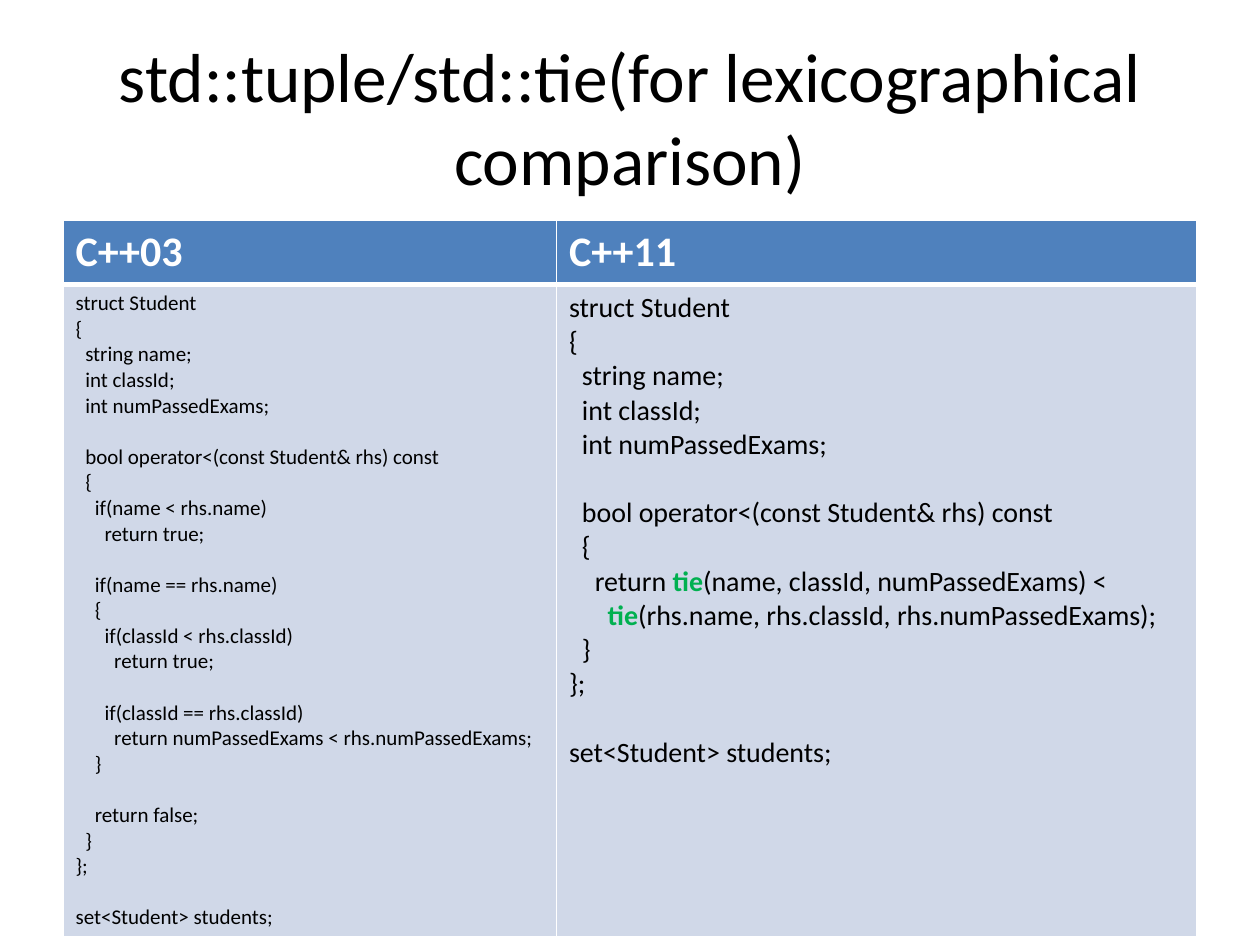
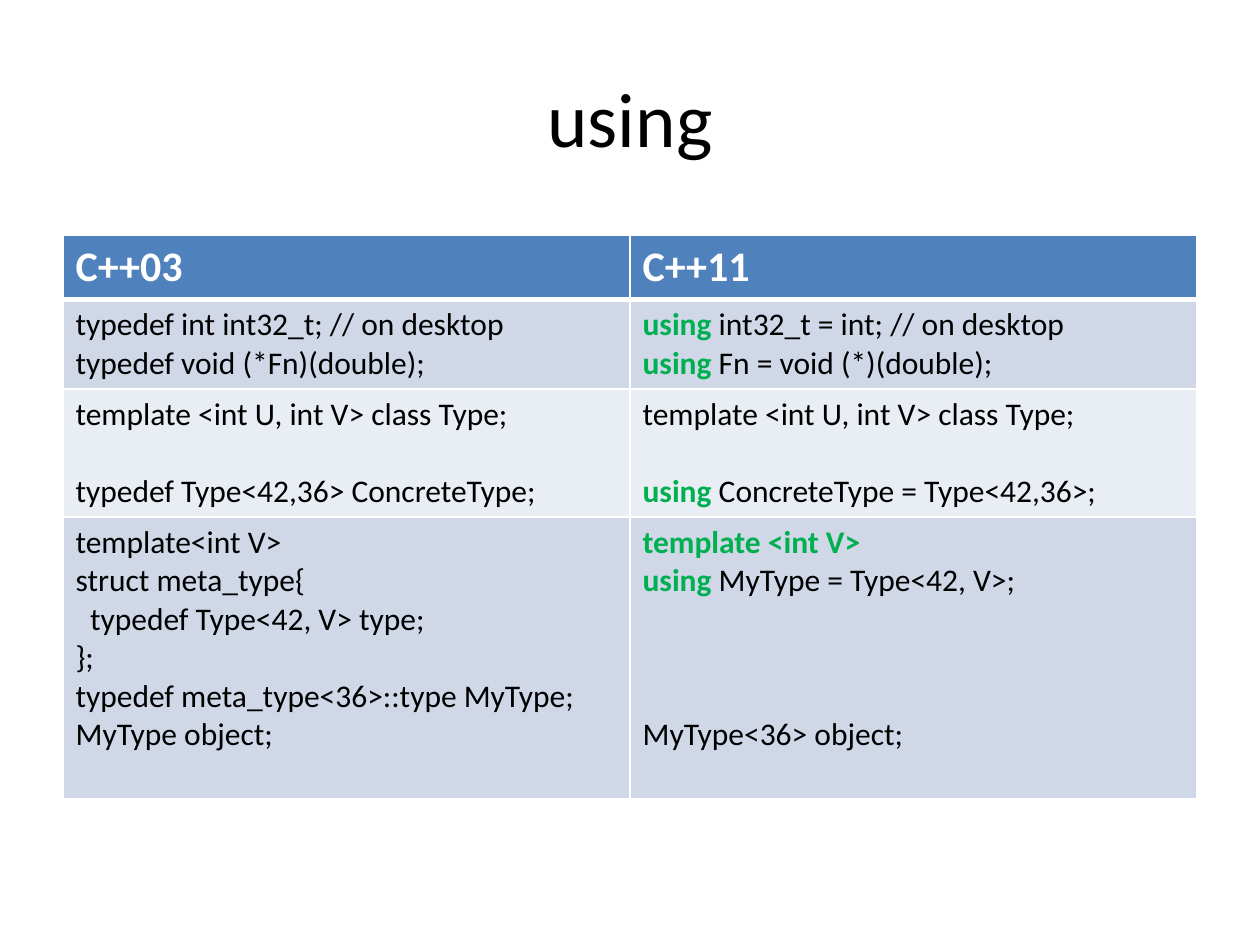
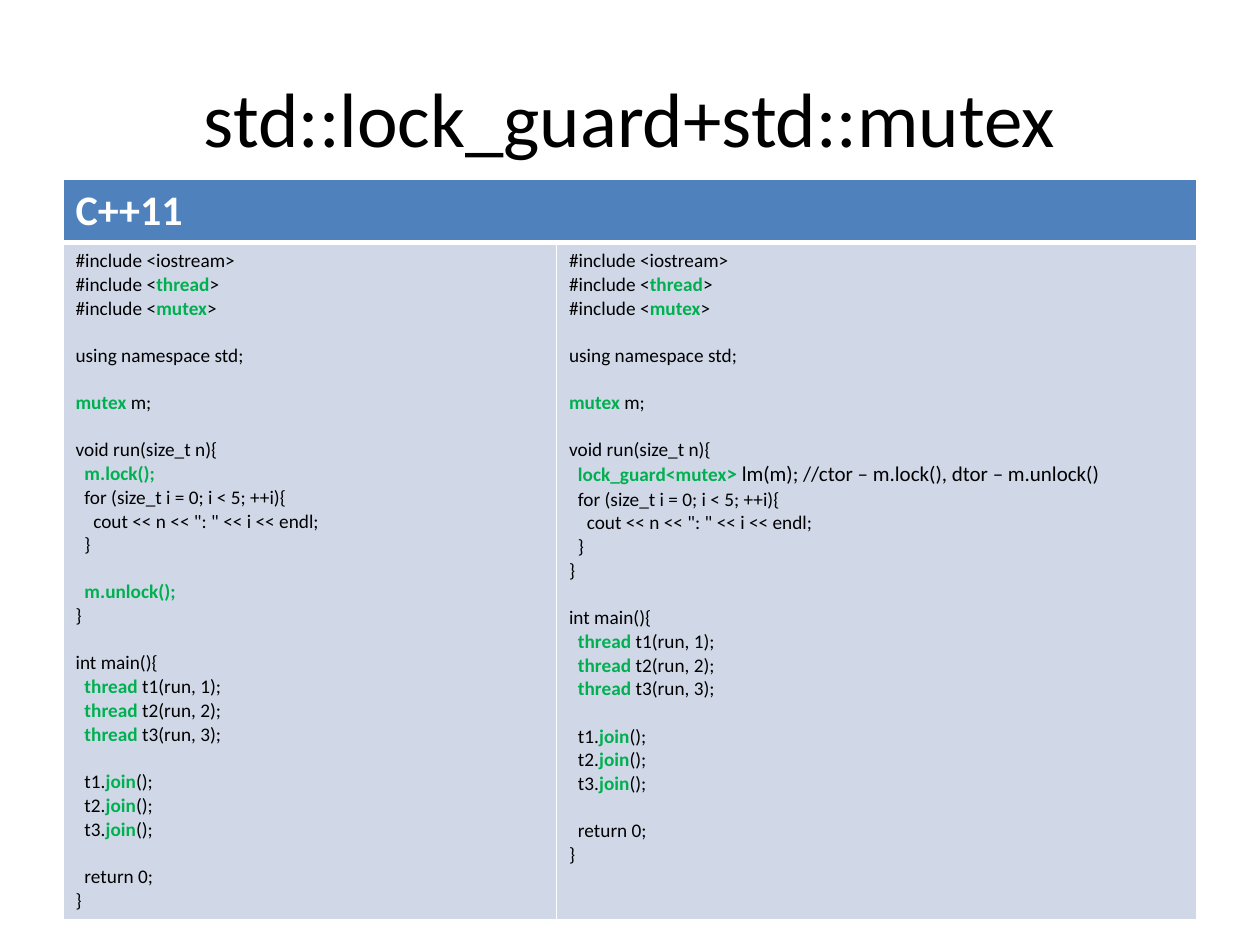
"""Builds three slides comparing C++03 and C++11 code in tables."""
from dataclasses import dataclass

from lxml import etree
from pptx import Presentation
from pptx.dml.color import RGBColor
from pptx.enum import text
from pptx.oxml import ns
from pptx.util import Pt


@dataclass(frozen=True)
class Theme:
    """Colours, type sizes and measures shared by the slides."""
    font: str = "Calibri"
    ink: str = "000000"
    white: str = "FFFFFF"
    highlight: str = "00B050"
    header: str = "4F81BD"
    bands: tuple = ("D0D8E8", "E9EDF4")
    header_size: float = 24
    comment_size: float = 12
    line_ratio: float = 1.22
    space_ratio: float = 0.23
    header_height: float = 36.5
    rule: float = 1
    header_rule: float = 3
    title_box: tuple = (36, 21.6, 648, 90)
    left: float = 36


THEME = Theme()

STUDENT_FIELDS = """struct Student
{
  string name;
  int classId;
  int numPassedExams;

  bool operator<(const Student& rhs) const
  {
"""

STUDENT_END = """  }
};

set<Student> students;"""

COMPARE_BY_HAND = """    if(name < rhs.name)
      return true;

    if(name == rhs.name)
    {
      if(classId < rhs.classId)
        return true;

      if(classId == rhs.classId)
        return numPassedExams < rhs.numPassedExams;
    }

    return false;
"""

COMPARE_BY_TIE = """    return `tie`(name, classId, numPassedExams) <
      `tie`(rhs.name, rhs.classId, rhs.numPassedExams);
"""

THREAD_START = """#include <iostream>
#include <`thread`>
#include <`mutex`>

using namespace std;

`mutex` m;

void run(size_t n){
"""

THREAD_LOOP = """  for (size_t i = 0; i < 5; ++i){
    cout << n << ": " << i << endl;
  }
"""

THREAD_END = """}

int main(){
  `thread` t1(run, 1);
  `thread` t2(run, 2);
  `thread` t3(run, 3);

  t1.`join`();
  t2.`join`();
  t3.`join`();

  return 0;
}"""

MANUAL_LOCK = "  `m.lock();`\n" + THREAD_LOOP + "\n  `m.unlock();`\n"
GUARD_LOCK = ("  `lock_guard<mutex^>`^ lm(m); //ctor – m.lock(), dtor – m.unlock()\n"
              + THREAD_LOOP)

USING_ROWS = [
    ("""typedef int int32_t; // on desktop
typedef void (*Fn)(double);""",
     """`using` int32_t = int; // on desktop
`using` Fn = void (*)(double);"""),
    ("""template <int U, int V> class Type;

typedef Type<42,36> ConcreteType;""",
     """template <int U, int V> class Type;

`using` ConcreteType = Type<42,36>;"""),
    ("""template<int V>
struct meta_type{
  typedef Type<42, V> type;
};
typedef meta_type<36>::type MyType;
MyType object;""",
     """`template <int V>`
`using` MyType = Type<42, V>;



MyType<36> object;"""),
]

SLIDES = [
    dict(title="std::tuple/std::tie(for lexicographical comparison)", title_size=39.6,
         top=126, columns=(282, 366), heights=(372,), sizes=(12, 16),
         headings=("C++03", "C++11"),
         rows=[(STUDENT_FIELDS + COMPARE_BY_HAND + STUDENT_END,
                STUDENT_FIELDS + COMPARE_BY_TIE + STUDENT_END)]),
    dict(title="using", title_size=44,
         top=134.6, columns=(324, 324), heights=(51, 73, 161), sizes=(18, 18),
         headings=("C++03", "C++11"), rows=USING_ROWS),
    dict(title="std::lock_guard+std::mutex", title_size=44,
         top=102.2, columns=(282, 366), heights=(387,), sizes=(11, 11),
         headings=("C++11",),
         rows=[(THREAD_START + MANUAL_LOCK + THREAD_END,
                THREAD_START + GUARD_LOCK + THREAD_END)]),
]


def add_run(paragraph, words, size, color, bold=False):
    """Adds one formatted run."""
    run = paragraph.add_run()
    run.text = words
    run.font.name, run.font.size, run.font.bold = THEME.font, Pt(size), bold
    run.font.color.rgb = RGBColor.from_string(color)


def write_code(frame, code, size):
    """Writes code lines: `…` is highlighted, ^ starts larger type, spacing shows gaps."""
    gap, paragraph = 0, None
    for line in code.split("\n"):
        statement = line.lstrip()
        if not statement:
            gap += 1
            continue
        paragraph = frame.add_paragraph() if paragraph else frame.paragraphs[0]
        paragraph.space_before = Pt(round(gap * size * THEME.line_ratio, 2))
        gap = 0
        indent = (len(line) - len(statement)) * size * THEME.space_ratio
        paragraph._p.get_or_add_pPr().set("marL", str(int(Pt(indent))))
        for part_no, part in enumerate(statement.split("`")):
            marked = part_no % 2 == 1
            for piece_no, piece in enumerate(part.split("^")):
                if piece:
                    add_run(paragraph, piece, THEME.comment_size if piece_no else size,
                            THEME.highlight if marked else THEME.ink, marked)


def style_cell(cell, fill, top, bottom):
    """Fills a cell and draws its four white borders."""
    cell.fill.solid()
    cell.fill.fore_color.rgb = RGBColor.from_string(fill)
    properties = cell._tc.get_or_add_tcPr()
    widths = dict(lnL=THEME.rule, lnR=THEME.rule, lnT=top, lnB=bottom)
    for position, (side, width) in enumerate(widths.items()):
        border = etree.Element(ns.qn("a:" + side), w=str(int(Pt(width))))
        solid = etree.SubElement(border, ns.qn("a:solidFill"))
        etree.SubElement(solid, ns.qn("a:srgbClr"), val=THEME.white)
        properties.insert(position, border)


def add_title(slide, words, size):
    """Places and formats the title placeholder."""
    title = slide.shapes.title
    title.left, title.top, title.width, title.height = map(Pt, THEME.title_box)
    frame = title.text_frame
    frame.auto_size = text.MSO_AUTO_SIZE.NONE
    frame.vertical_anchor = text.MSO_ANCHOR.MIDDLE
    frame.paragraphs[0].alignment = text.PP_ALIGN.CENTER
    add_run(frame.paragraphs[0], words, size, THEME.ink)


def add_comparison(slide, content):
    """Adds the code table with its heading row."""
    columns, rows = content["columns"], content["rows"]
    heights = (THEME.header_height, *content["heights"])
    comparison = slide.shapes.add_table(
        len(heights), len(columns), Pt(THEME.left), Pt(content["top"]),
        Pt(sum(columns)), Pt(sum(heights))).table
    for column, width in zip(comparison.columns, columns):
        column.width = Pt(width)
    for row, height in zip(comparison.rows, heights):
        row.height = Pt(height)
    for cell in comparison.rows[0].cells:
        style_cell(cell, THEME.header, THEME.rule, THEME.header_rule)
    headings = content["headings"]
    if len(headings) == 1:
        comparison.cell(0, 0).merge(comparison.cell(0, len(columns) - 1))
    for column_no, heading in enumerate(headings):
        add_run(comparison.cell(0, column_no).text_frame.paragraphs[0], heading,
                THEME.header_size, THEME.white, True)
    for row_no, snippets in enumerate(rows):
        top = THEME.rule if row_no else THEME.header_rule
        for column_no, (code, size) in enumerate(zip(snippets, content["sizes"])):
            cell = comparison.cell(row_no + 1, column_no)
            style_cell(cell, THEME.bands[row_no % 2], top, THEME.rule)
            write_code(cell.text_frame, code, size)


def main():
    """Builds and saves the deck."""
    deck = Presentation()
    deck.slide_width, deck.slide_height = Pt(720), Pt(540)
    for content in SLIDES:
        slide = deck.slides.add_slide(deck.slide_layouts.get_by_name("Title Only"))
        add_title(slide, content["title"], content["title_size"])
        add_comparison(slide, content)
    deck.save("out.pptx")


if __name__ == "__main__":
    main()
